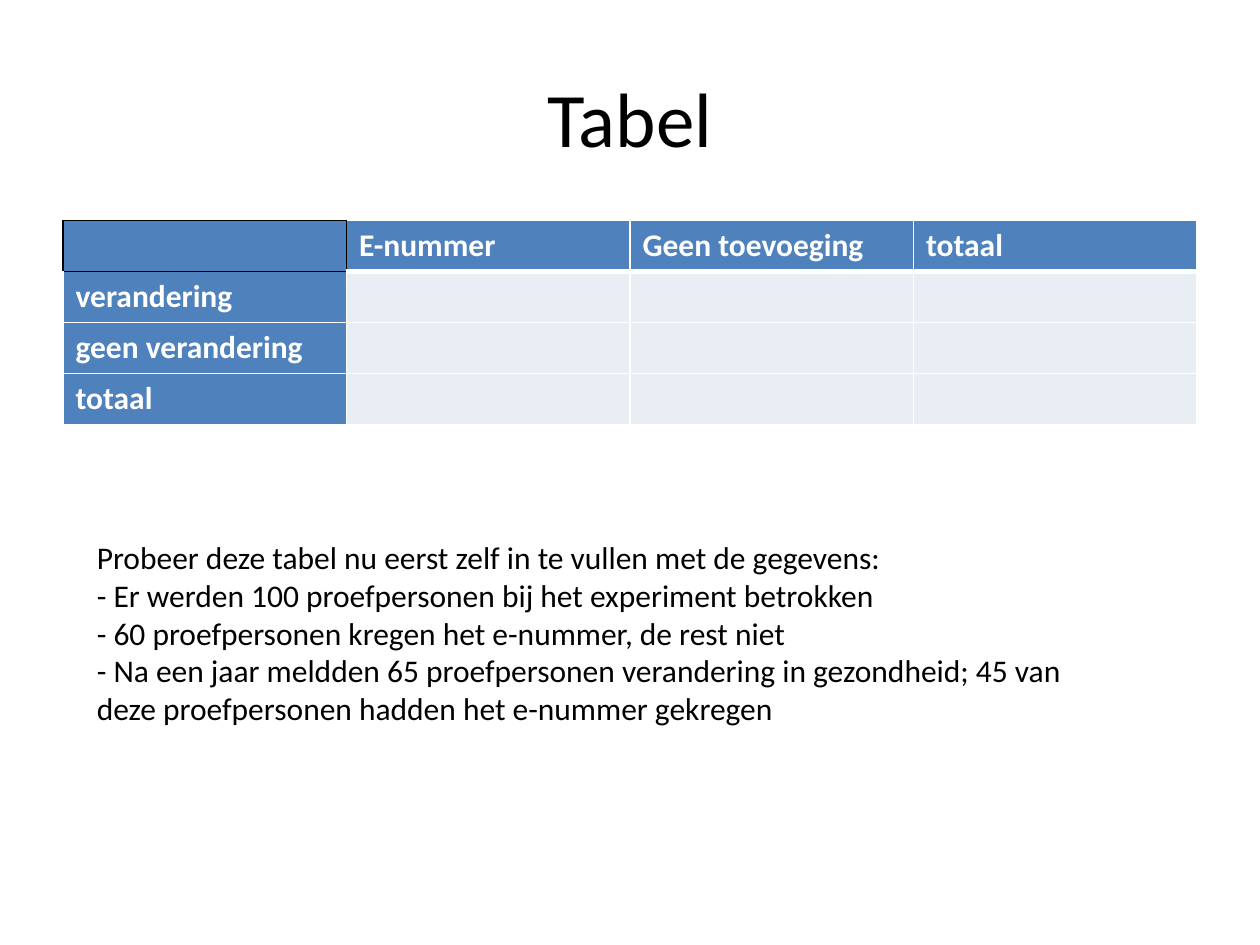
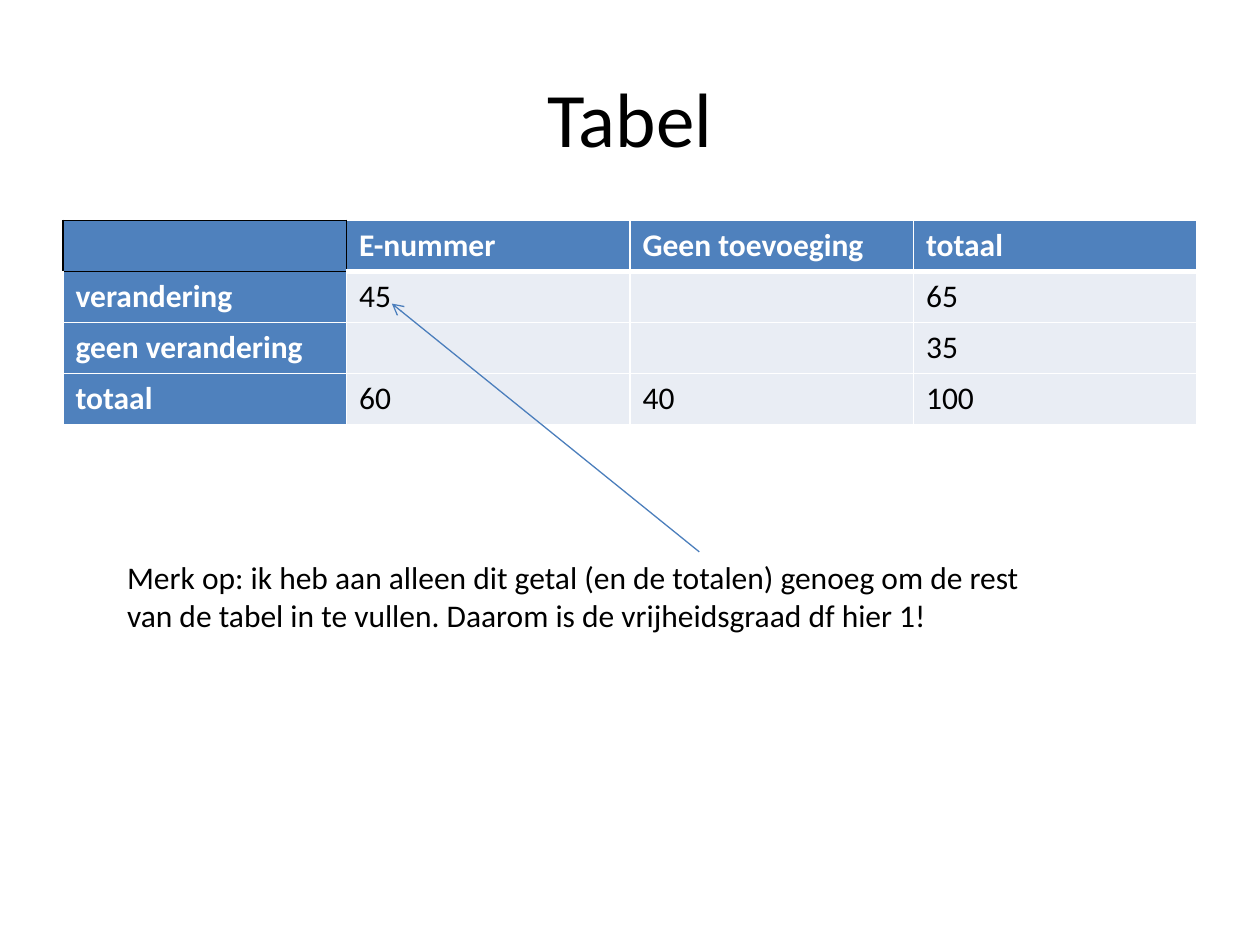
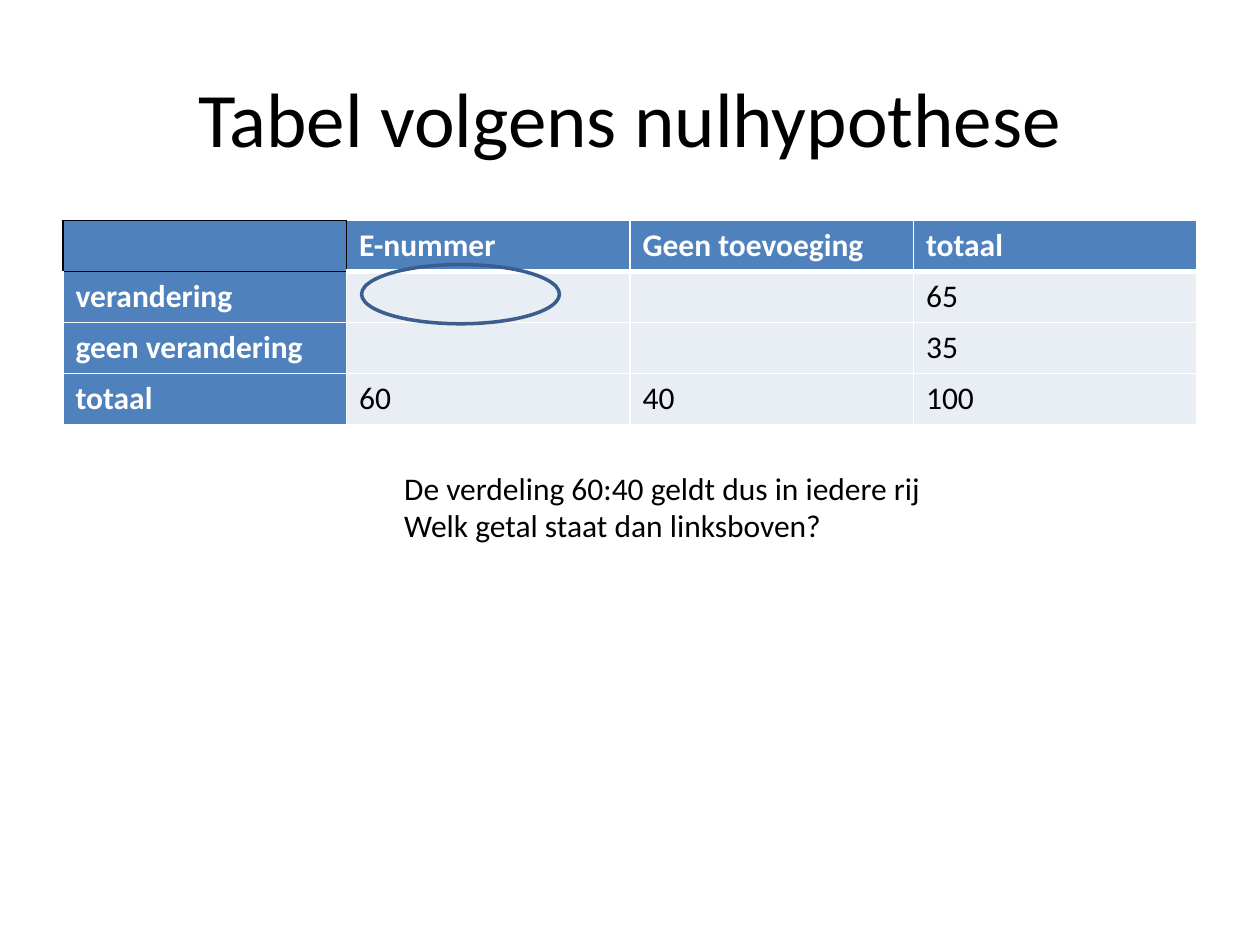
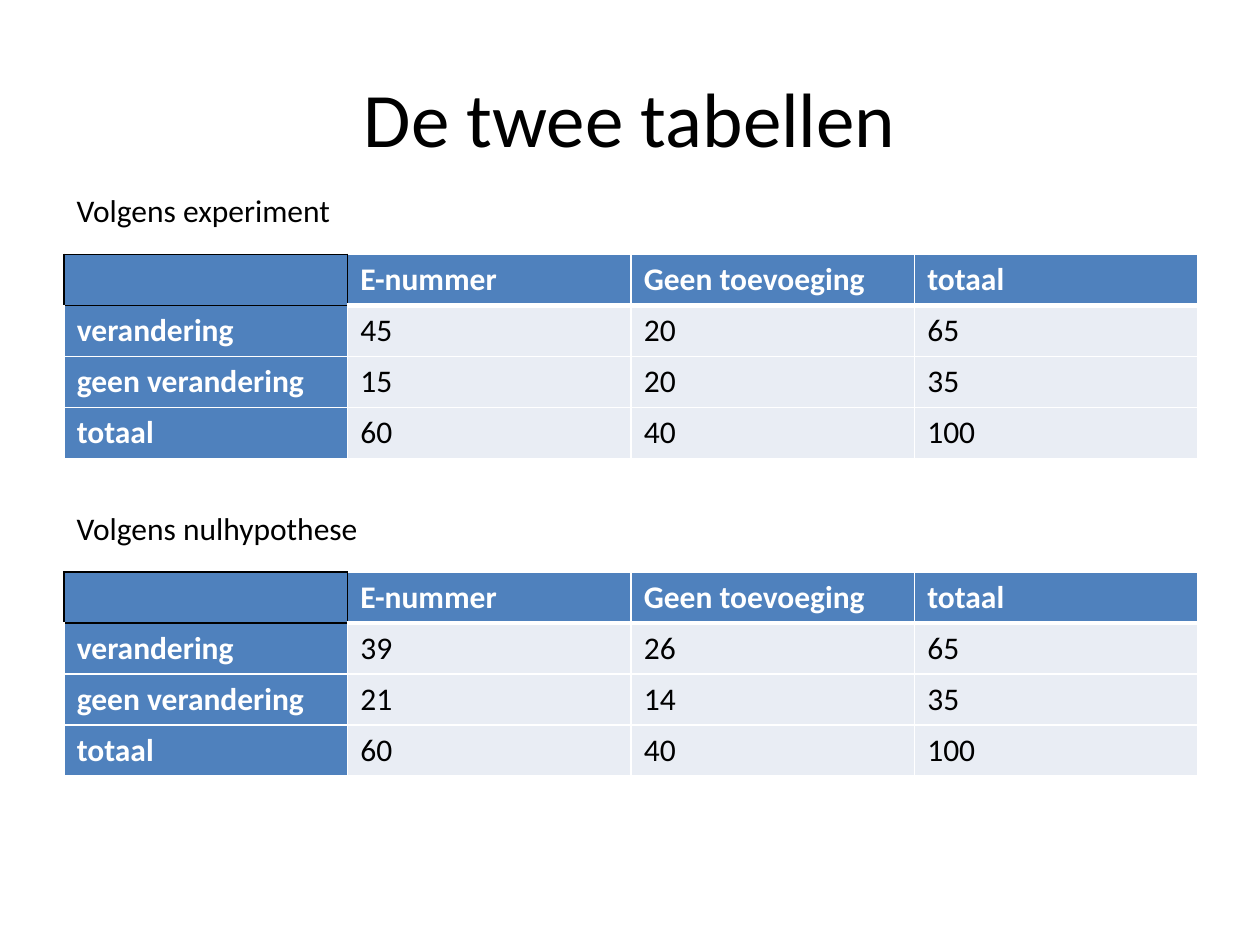
from lxml.etree import SubElement
from pptx import Presentation
from pptx.dml.color import RGBColor
from pptx.enum.shapes import MSO_CONNECTOR, MSO_SHAPE
from pptx.enum.text import MSO_ANCHOR, MSO_AUTO_SIZE, PP_ALIGN
from pptx.oxml.ns import qn
from pptx.util import Inches, Pt

WIDTH, HEIGHT = Inches(10), Inches(7.5)
FONT = "Calibri"
BLACK = RGBColor(0x00, 0x00, 0x00)
WHITE = RGBColor(0xFF, 0xFF, 0xFF)
HEADER_BLUE = RGBColor(0x4F, 0x81, 0xBD)
CELL_GREY = RGBColor(0xE9, 0xED, 0xF4)
ARROW_BLUE = RGBColor(0x4B, 0x7E, 0xBC)
RING_BLUE = RGBColor(0x3A, 0x5F, 0x8C)

COLUMN_NAMES = ["", "E-nummer", "Geen toevoeging", "totaal"]
ROW_NAMES = ["verandering", "geen verandering", "totaal"]
EMPTY = [["", "", ""]] * 3
TOTALS = [["", "", "65"], ["", "", "35"], ["60", "40", "100"]]
ONE_KNOWN = [["45", "", "65"], *TOTALS[1:]]
EXPERIMENT = [["45", "20", "65"], ["15", "20", "35"], TOTALS[2]]
NULL_HYPOTHESIS = [["39", "26", "65"], ["21", "14", "35"], TOTALS[2]]

TABLE_LEFT, TABLE_TOP = 5, 23.33
TABLE_WIDTH, TABLE_HEIGHT = 90, 21.6
LABEL_RISE = 7.33


def across(percent):
    return round(WIDTH * percent / 100)


def down(percent):
    return round(HEIGHT * percent / 100)


def area(left, top, width, height):
    return across(left), down(top), across(width), down(height)


def style(paragraph, size=18, color=BLACK, bold=False):
    font = paragraph.font
    font.name, font.size, font.bold = FONT, Pt(size), bold
    font.color.rgb = color


def add_text(slide, box, lines, size=18):
    frame = slide.shapes.add_textbox(*area(*box)).text_frame
    frame.word_wrap = True
    frame.text = "\n".join(lines)
    for paragraph in frame.paragraphs:
        style(paragraph, size)
    return frame


def add_title_slide(presentation, title):
    slide = presentation.slides.add_slide(presentation.slide_layouts[6])
    frame = add_text(slide, (5, 4, 90, 16.67), [title], 44)
    frame.vertical_anchor = MSO_ANCHOR.MIDDLE
    frame.paragraphs[0].alignment = PP_ALIGN.CENTER
    return slide


def add_note(slide, box, *lines):
    add_text(slide, box, lines).auto_size = MSO_AUTO_SIZE.SHAPE_TO_FIT_TEXT


def set_border(cell, side, color, width):
    line = SubElement(cell._tc.get_or_add_tcPr(), qn(f"a:ln{side}"), w=str(Pt(width)))
    fill = SubElement(line, qn("a:solidFill"))
    SubElement(fill, qn("a:srgbClr"), val=str(color))


def format_cell(cell, row, column):
    header = row == 0 or column == 0
    black_sides = {(0, 0): "LRTB", (0, 1): "L", (1, 0): "T"}.get((row, column), "")
    for side in "LRTB":
        thick = (row == 0 and side == "B") or (row == 1 and side == "T")
        color = BLACK if side in black_sides else WHITE
        set_border(cell, side, color, 3 if thick and column else 1)
    cell.fill.solid()
    cell.fill.fore_color.rgb = HEADER_BLUE if header else CELL_GREY
    style(cell.text_frame.paragraphs[0], color=WHITE if header else BLACK, bold=header)


def add_cross_table(slide, values, left=TABLE_LEFT, top=TABLE_TOP):
    rows = [COLUMN_NAMES] + [[name, *line] for name, line in zip(ROW_NAMES, values)]
    box = area(left, top, TABLE_WIDTH, TABLE_HEIGHT)
    table = slide.shapes.add_table(len(rows), len(COLUMN_NAMES), *box).table
    table.first_col = True
    table.horz_banding = False
    for row, texts in enumerate(rows):
        for column, text in enumerate(texts):
            cell = table.cell(row, column)
            cell.text = text
            format_cell(cell, row, column)


def add_labelled_table(slide, label, values, top):
    left = 5.1
    add_cross_table(slide, values, left, top)
    add_note(slide, (left, top - LABEL_RISE, 25.2, 5.33), label)


def add_arrow(slide, start, end):
    arrow = slide.shapes.add_connector(
        MSO_CONNECTOR.STRAIGHT,
        across(start[0]), down(start[1]), across(end[0]), down(end[1]))
    arrow.line.color.rgb = ARROW_BLUE
    arrow.line.width = Pt(0.75)
    SubElement(arrow.line._get_or_add_ln(), qn("a:tailEnd"), type="arrow")
    SubElement(arrow._element.spPr, qn("a:effectLst"))


def add_ring(slide, box):
    ring = slide.shapes.add_shape(MSO_SHAPE.OVAL, *area(*box))
    ring.shadow.inherit = False
    ring.fill.background()
    ring.line.color.rgb = RING_BLUE
    ring.line.width = Pt(2)


def build_exercise(presentation):
    slide = add_title_slide(presentation, "Tabel")
    add_cross_table(slide, EMPTY)
    add_note(
        slide, (6.7, 56.27, 80.3, 25.6),
        "Probeer deze tabel nu eerst zelf in te vullen met de gegevens:",
        "- Er werden 100 proefpersonen bij het experiment betrokken",
        "- 60 proefpersonen kregen het e-nummer, de rest niet",
        "- Na een jaar meldden 65 proefpersonen verandering in gezondheid; "
        "45 van deze proefpersonen hadden het e-nummer gekregen")


def build_freedom(presentation):
    slide = add_title_slide(presentation, "Tabel")
    add_cross_table(slide, ONE_KNOWN)
    add_note(
        slide, (9.1, 58.4, 73.2, 9.47),
        "Merk op: ik heb aan alleen dit getal (en de totalen) genoeg om de rest "
        "van de tabel in te vullen. Daarom is de vrijheidsgraad df hier 1!")
    add_arrow(slide, (55.5, 58.4), (31.1, 32.13))


def build_null_hypothesis(presentation):
    slide = add_title_slide(presentation, "Tabel volgens nulhypothese")
    add_cross_table(slide, TOTALS)
    add_note(
        slide, (31.1, 48.93, 59.1, 9.47),
        "De verdeling 60:40 geldt dus in iedere rij",
        "Welk getal staat dan linksboven?")
    add_ring(slide, (28.7, 28, 15.7, 6.27))


def build_comparison(presentation):
    slide = add_title_slide(presentation, "De twee tabellen")
    add_labelled_table(slide, "Volgens experiment", EXPERIMENT, 26.93)
    add_labelled_table(slide, "Volgens nulhypothese", NULL_HYPOTHESIS, 60.53)


def main():
    presentation = Presentation()
    presentation.slide_width, presentation.slide_height = WIDTH, HEIGHT
    build_exercise(presentation)
    build_freedom(presentation)
    build_null_hypothesis(presentation)
    build_comparison(presentation)
    presentation.save("out.pptx")


main()
